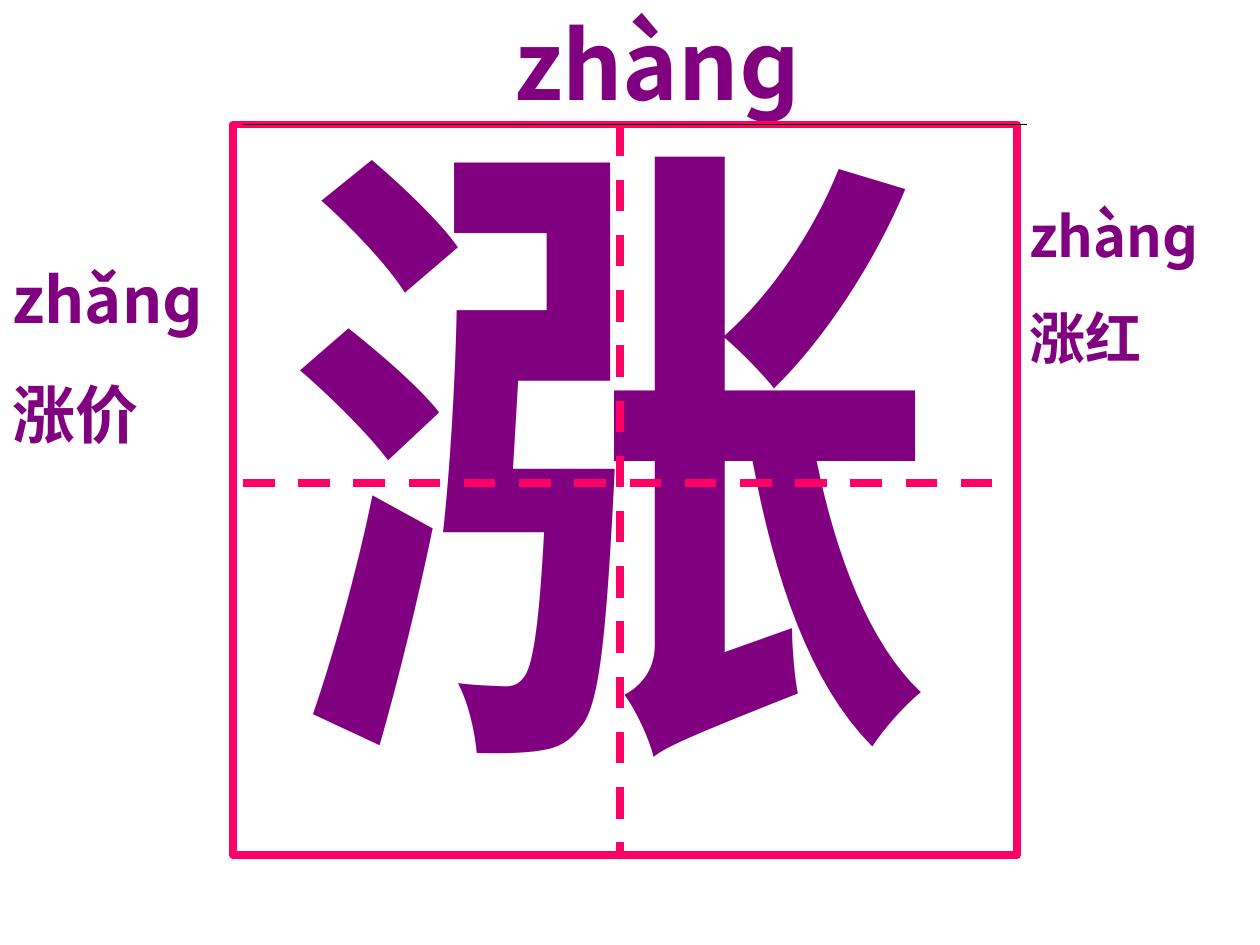
from lxml.etree import SubElement
from pptx import Presentation
from pptx.dml.color import RGBColor
from pptx.enum.dml import MSO_LINE
from pptx.enum.shapes import MSO_CONNECTOR, MSO_SHAPE
from pptx.enum.text import MSO_ANCHOR, MSO_AUTO_SIZE, PP_ALIGN
from pptx.oxml.ns import qn
from pptx.util import Cm, Pt

COLORS = {"ink": "800080", "grid": "FF0066", "rule": "000000"}
FONT = "Noto Sans CJK SC"


class Card:
    """Draws the parts of a character card on one slide."""

    def __init__(self, slide):
        self.slide = slide

    def color(self, name):
        return RGBColor.from_string(COLORS[name])

    def fill(self, shape, lines, size, gap=0, wrap=True):
        frame = shape.text_frame
        frame.text = "\n".join(lines)
        frame.word_wrap = wrap
        frame.auto_size = MSO_AUTO_SIZE.NONE
        frame.vertical_anchor = MSO_ANCHOR.TOP
        for i, para in enumerate(frame.paragraphs):
            para.alignment = PP_ALIGN.LEFT
            para.space_before = Pt(gap if i else 0)
            font = para.font
            font.name, font.size, font.bold = FONT, Pt(size), True
            font.color.rgb = self.color("ink")
            SubElement(para._p.pPr.find(qn("a:defRPr")), qn("a:ea"), typeface=FONT)

    def title(self, text, box, size):
        shape = self.slide.shapes.title
        shape.left, shape.top, shape.width, shape.height = map(Cm, box)
        self.fill(shape, [text], size)

    def text(self, lines, box, size, gap=0, wrap=True):
        shape = self.slide.shapes.add_textbox(*map(Cm, box))
        self.fill(shape, lines, size, gap, wrap)

    def frame(self, box):
        shape = self.slide.shapes.add_shape(MSO_SHAPE.RECTANGLE, *map(Cm, box))
        shape.shadow.inherit = False
        shape.fill.background()
        shape.line.color.rgb = self.color("grid")
        shape.line.width = Pt(4.5)

    def line(self, ends, color, width, dash=None):
        line = self.slide.shapes.add_connector(MSO_CONNECTOR.STRAIGHT, *map(Cm, ends))
        line.line.color.rgb = self.color(color)
        line.line.width = Pt(width)
        line.line.dash_style = dash
        SubElement(line._element.spPr, qn("a:effectLst"))


def main():
    deck = Presentation()
    deck.slide_width, deck.slide_height = Cm(25.4), Cm(19.05)
    card = Card(deck.slides.add_slide(deck.slide_layouts[5]))
    left, top, width, height = 4.7, 2.51, 15.8, 14.73
    inset = 0.2
    right, base = left + width, top + height
    card.text(["涨"], (5.54, 0.91, 13.56, 15.93), 370, wrap=False)
    card.frame((left, top, width, height))
    card.line((left + inset, 9.73, right, 9.73), "grid", 4.5, MSO_LINE.DASH)
    card.line((12.5, top, 12.5, base), "grid", 4.5, MSO_LINE.DASH)
    card.line((left + inset, top, right + inset, top), "rule", 0.75)
    card.title("zhànɡ", (10.11, 0, 9.8, 2.54), 54)
    card.text(["zhànɡ", "涨红"], (right, 3.94, 4.29, 3.68), 32, 20)
    card.text(["zhǎnɡ", "涨价"], (0, 5.13, 4.5, 4.11), 36, 22.5)
    deck.save("out.pptx")


if __name__ == "__main__":
    main()
